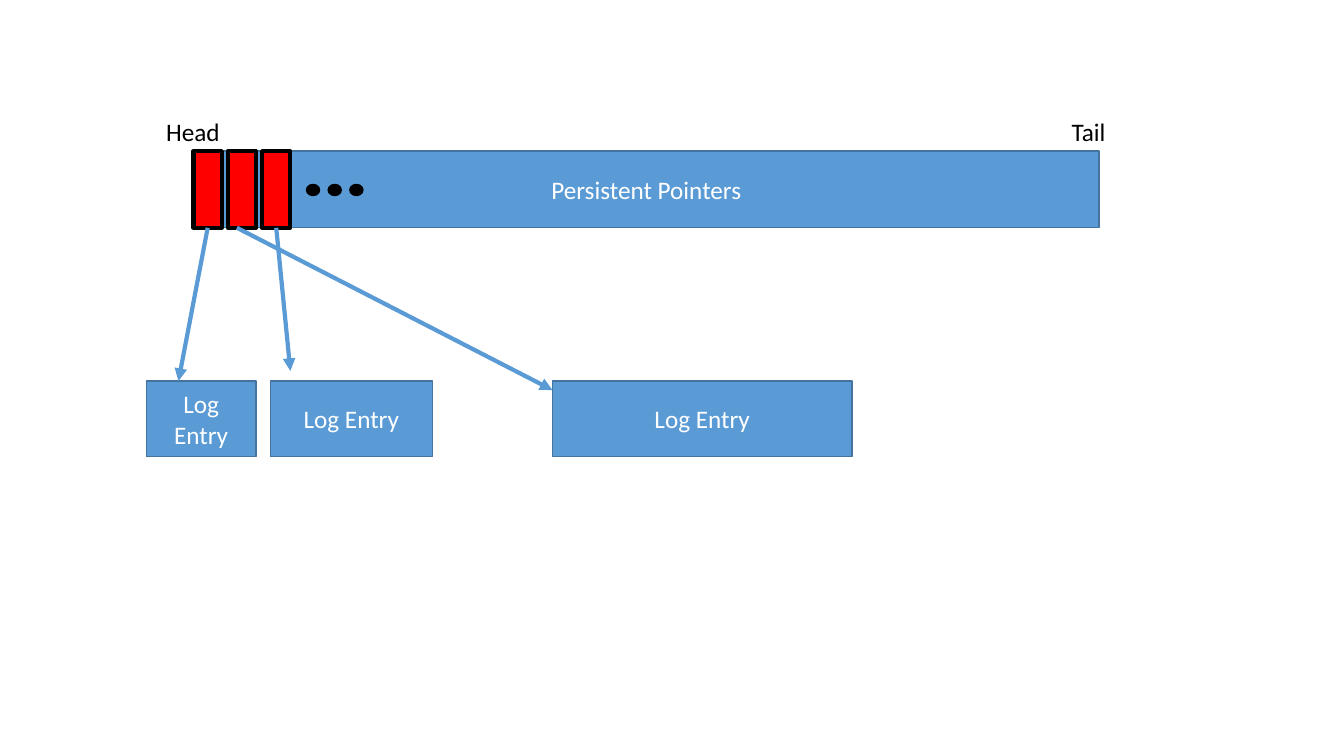
import pptx
import pptx.util
import pptx.oxml
import pptx.oxml.ns
import pptx.dml.color
import pptx.enum.shapes
import pptx.enum.text

Inches = pptx.util.Inches
Pt = pptx.util.Pt
SHAPE = pptx.enum.shapes.MSO_SHAPE

# Content
COLORS = {"blue": "5B9BD5", "edge": "43739E", "red": "FF0000",
          "black": "000000", "white": "FFFFFF"}
FONT, FONT_SIZE = "Calibri", 18
BAR_TEXT = "Persistent Pointers"
END_LABELS = [("Head", 1.55, 0.74), ("Tail", 10.53, 0.54)]  # text, left, width
LOG_ENTRIES = [("Log Entry", 1.45, 1.09), ("Log Entry", 5.48, 2.97),
               ("Log Entry", 2.68, 1.61)]
ARROWS = [(2.06, 1.77, 3.78), (2.35, 5.48, 3.87), (2.74, 2.88, 3.68)]  # x1, x2, y2

# Layout
BAR_LEFT, BAR_TOP, BAR_W, BAR_H = 1.92, 1.5, 8.98, 0.76
POINTER_W, POINTER_STEP = 0.28, 0.34
DOT_LEFT, DOT_TOP, DOT_W, DOT_H, DOT_STEP = 3.04, 1.83, 0.13, 0.11, 0.215
LABEL_TOP, LABEL_H = 1.1, 0.4
ENTRY_TOP, ENTRY_H = 3.78, 0.75


def rgb(name):
    return pptx.dml.color.RGBColor.from_string(COLORS[name])


def write(tf, text, color):
    tf.text = text
    p = tf.paragraphs[0]
    for r in p.runs:
        r.font.name = FONT
        r.font.size = Pt(FONT_SIZE)
        r.font.color.rgb = rgb(color)
    return p


def add_box(slide, kind, box, fill, edge, width, text=None):
    sp = slide.shapes.add_shape(kind, *map(Inches, box))
    sp.shadow.inherit = False
    sp.fill.solid()
    sp.fill.fore_color.rgb = rgb(fill)
    sp.line.color.rgb = rgb(edge)
    sp.line.width = Pt(width)
    if text:
        tf = sp.text_frame
        tf.word_wrap = True
        tf.vertical_anchor = pptx.enum.text.MSO_ANCHOR.MIDDLE
        write(tf, text, "white").alignment = pptx.enum.text.PP_ALIGN.CENTER


def add_label(slide, text, left, width):
    sp = slide.shapes.add_textbox(Inches(left), Inches(LABEL_TOP),
                                  Inches(width), Inches(LABEL_H))
    tf = sp.text_frame
    write(tf, text, "black")
    tf.word_wrap = False
    tf.auto_size = pptx.enum.text.MSO_AUTO_SIZE.SHAPE_TO_FIT_TEXT


def add_arrow(slide, x1, y1, x2, y2):
    line = slide.shapes.add_connector(pptx.enum.shapes.MSO_CONNECTOR.STRAIGHT,
                                      *map(Inches, (x1, y1, x2, y2)))
    line.line.color.rgb = rgb("blue")
    line.line.width = Pt(3)
    ln = line.line._get_or_add_ln()
    tail = pptx.oxml.parse_xml(
        f'<a:tailEnd {pptx.oxml.ns.nsdecls("a")} type="triangle"/>')
    ln.append(tail)
    ln.addnext(pptx.oxml.parse_xml(f'<a:effectLst {pptx.oxml.ns.nsdecls("a")}/>'))


def main():
    prs = pptx.Presentation()
    prs.slide_width, prs.slide_height = Inches(13.33), Inches(7.5)
    slide = prs.slides.add_slide(prs.slide_layouts[6])

    # Pointer bar with its end labels
    add_box(slide, SHAPE.RECTANGLE, (BAR_LEFT, BAR_TOP, BAR_W, BAR_H),
            "blue", "edge", 1, BAR_TEXT)
    for label in END_LABELS:
        add_label(slide, *label)

    # Pointer cells, then the dots that continue them
    for i in range(3):
        add_box(slide, SHAPE.RECTANGLE,
                (BAR_LEFT + i * POINTER_STEP, BAR_TOP, POINTER_W, BAR_H),
                "red", "black", 3)
    for i in range(3):
        add_box(slide, SHAPE.OVAL,
                (DOT_LEFT + i * DOT_STEP, DOT_TOP, DOT_W, DOT_H),
                "black", "black", 1)

    # Log entries and the arrows to them
    for text, left, width in LOG_ENTRIES:
        add_box(slide, SHAPE.RECTANGLE, (left, ENTRY_TOP, width, ENTRY_H),
                "blue", "edge", 1, text)
    for x1, x2, y2 in ARROWS:
        add_arrow(slide, x1, BAR_TOP + BAR_H, x2, y2)

    prs.save("out.pptx")


if __name__ == "__main__":
    main()
